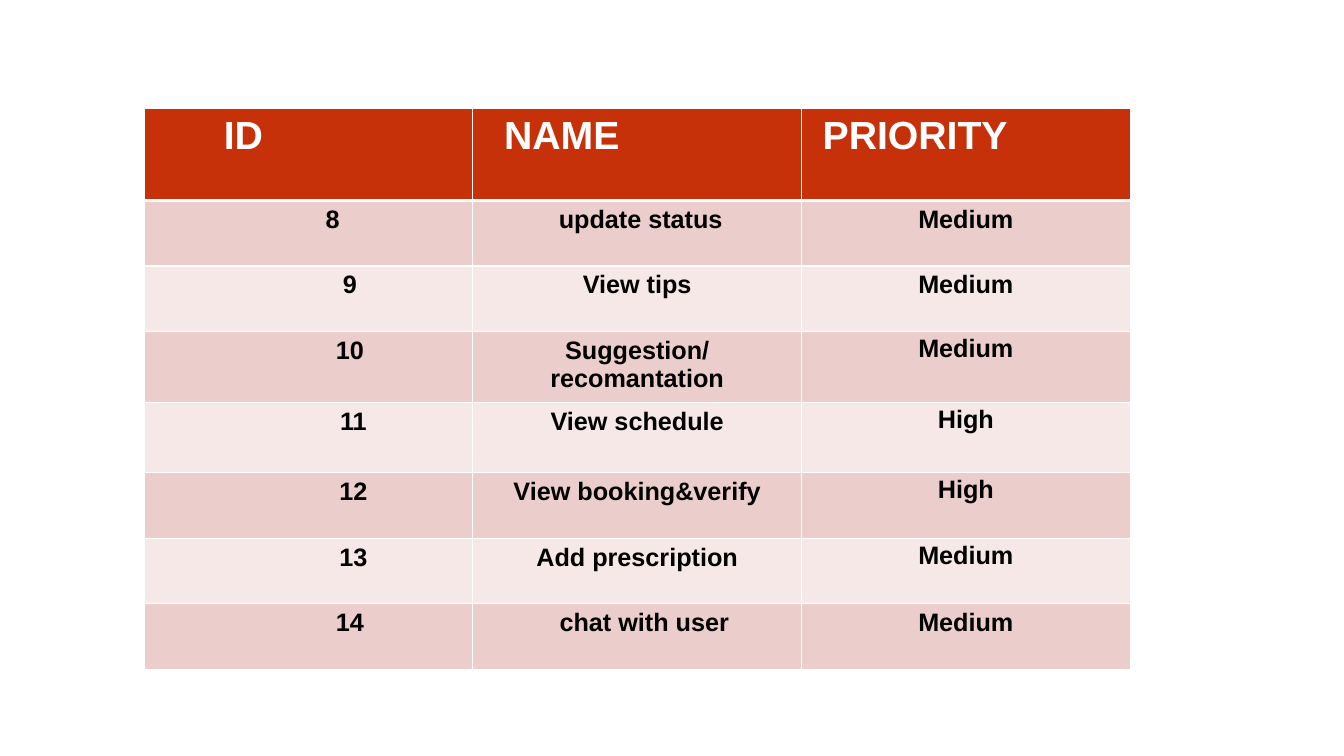
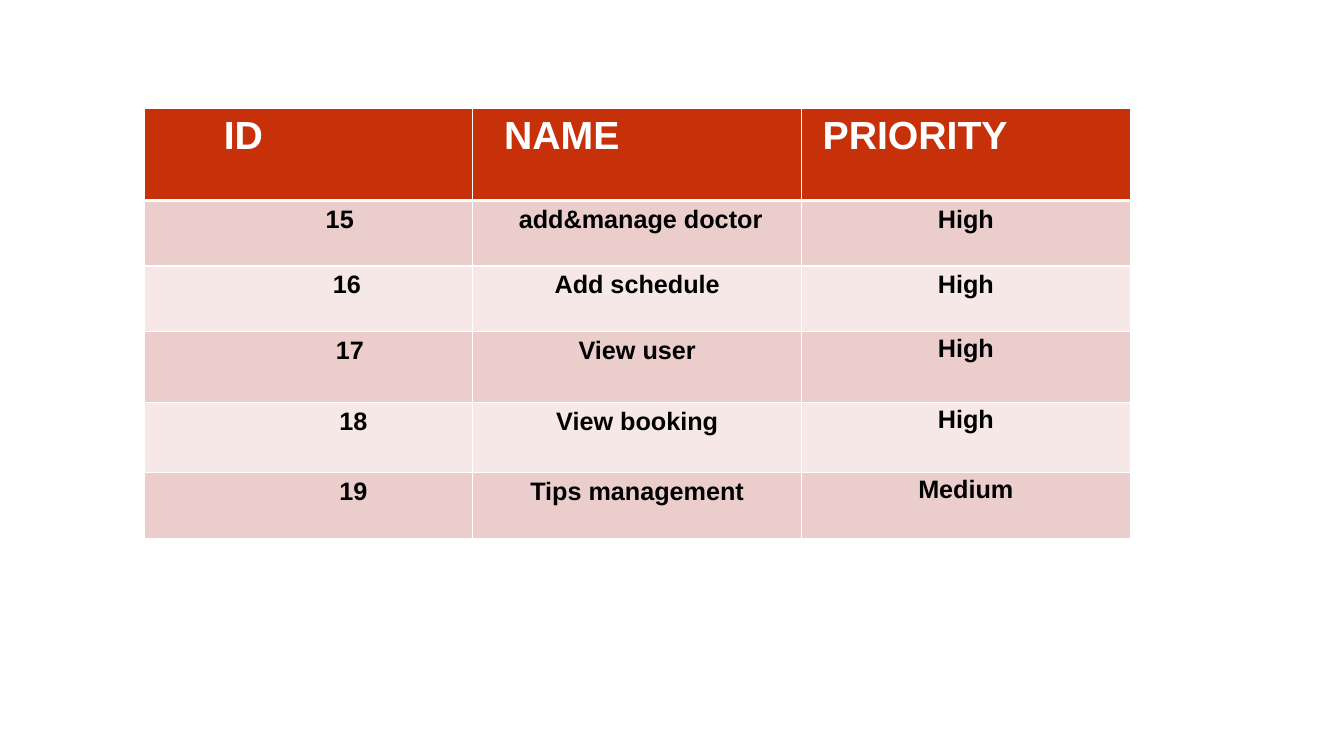
from lxml.etree import SubElement
from pptx import Presentation
from pptx.dml.color import RGBColor
from pptx.enum.text import PP_ALIGN as Align
from pptx.oxml.ns import qn
from pptx.util import Emu, Pt

HEADERS = [("ID", 69), ("NAME", 21), ("PRIORITY", 11)]
CENTER, LEFT = Align.CENTER, Align.LEFT
TABLES = [
    [
        ("8", 48, "update status", 7, CENTER, "Medium"),
        ("9", 82, "View tips", 0, CENTER, "Medium"),
        ("10", 82, "Suggestion/ recomantation", 0, CENTER, "Medium"),
        ("11", 89, "View schedule", 0, CENTER, "High"),
        ("12", 89, "View booking&verify", 0, CENTER, "High"),
        ("13", 89, "Add prescription", 0, CENTER, "Medium"),
        ("14", 82, "chat with user", 76, LEFT, "Medium"),
    ],
    [
        ("15", 62, "add&manage doctor", 7, CENTER, "High"),
        ("16", 76, "Add schedule", 0, CENTER, "High"),
        ("17", 82, "View user", 0, CENTER, "High"),
        ("18", 89, "View booking", 0, CENTER, "High"),
        ("19", 89, "Tips management", 0, CENTER, "Medium"),
    ],
]

PX = 9144
SLIDE_SIZE = (1333, 750)
TABLE_LEFT, TABLE_TOP = 143, 108
COLUMN_WIDTH = 326
ROW_HEIGHTS = [91, 65, 65, 70, 70, 65, 65, 65]
NORMAL_INSETS = (10, 5)
TIGHT_INSETS = (6, 3)
TIGHT_ROWS = range(3, 7)

FONT = "Arial"
WHITE = RGBColor(0xFF, 0xFF, 0xFF)
BLACK = RGBColor(0x00, 0x00, 0x00)
RED = RGBColor(0xC7, 0x31, 0x09)
BANDS = (RGBColor(0xEB, 0xCE, 0xCC), RGBColor(0xF5, 0xE8, 0xE7))


def px(length):
    return Emu(length * PX)


def set_borders(cell, top=1, bottom=1):
    properties = cell._tc.get_or_add_tcPr()
    for side, width in (("L", 1), ("R", 1), ("T", top), ("B", bottom)):
        line = SubElement(properties, qn(f"a:ln{side}"), w=str(Pt(width)))
        fill = SubElement(line, qn("a:solidFill"))
        SubElement(fill, qn("a:srgbClr"), val=str(WHITE))


def write_cell(cell, text, *, fill, color=BLACK, size=18, align=CENTER,
               indent=0, insets=NORMAL_INSETS):
    side, edge = insets
    cell.margin_left, cell.margin_right = px(side + indent), px(side)
    cell.margin_top = cell.margin_bottom = px(edge)
    cell.fill.solid()
    cell.fill.fore_color.rgb = fill
    para = cell.text_frame.paragraphs[0]
    para.alignment = align
    span = para.add_run()
    span.text = text
    span.font.name = FONT
    span.font.size = Pt(size)
    span.font.bold = True
    span.font.color.rgb = color


def add_priority_table(page, rows):
    heights = ROW_HEIGHTS[:len(rows) + 1]
    table = page.shapes.add_table(
        len(heights), len(HEADERS), px(TABLE_LEFT), px(TABLE_TOP),
        px(COLUMN_WIDTH * len(HEADERS)), px(sum(heights))).table
    for column in table.columns:
        column.width = px(COLUMN_WIDTH)
    for row, height in zip(table.rows, heights):
        row.height = px(height)
    for index, row in enumerate(table.rows):
        for cell in row.cells:
            set_borders(cell, top=3 if index == 1 else 1,
                        bottom=3 if index == 0 else 1)

    for column, (text, indent) in enumerate(HEADERS):
        write_cell(table.cell(0, column), text, fill=RED, color=WHITE,
                   size=28, align=LEFT, indent=indent)
    for index, row in enumerate(rows, 1):
        number, number_indent, name, name_indent, name_align, priority = row
        band = BANDS[(index - 1) % 2]
        insets = TIGHT_INSETS if index in TIGHT_ROWS else NORMAL_INSETS
        write_cell(table.cell(index, 0), number, fill=band,
                   indent=number_indent)
        write_cell(table.cell(index, 1), name, fill=band,
                   indent=name_indent, align=name_align)
        write_cell(table.cell(index, 2), priority, fill=band, insets=insets)


def main():
    deck = Presentation()
    deck.slide_width, deck.slide_height = map(px, SLIDE_SIZE)
    blank = deck.slide_layouts[6]
    for rows in TABLES:
        add_priority_table(deck.slides.add_slide(blank), rows)
    deck.save("out.pptx")


if __name__ == "__main__":
    main()
